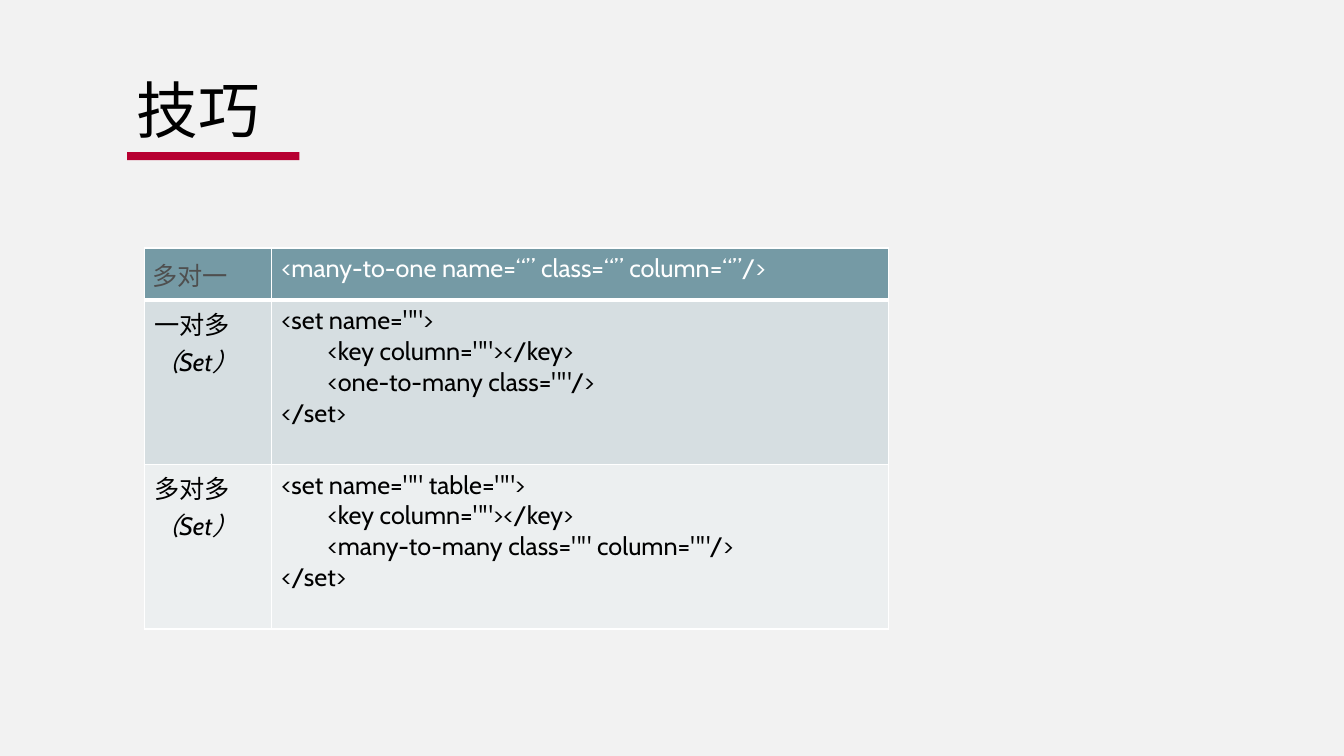
from dataclasses import dataclass
from lxml import etree
from pptx import Presentation
from pptx import util as u
from pptx.dml import color
from pptx.enum import shapes, text
from pptx.oxml import ns

HUES = {
    "page": "F2F2F2", "bar": "B70031", "head": "759AA5", "odd": "D6DEE1",
    "even": "ECEFF0", "ink": "000000", "grey": "4F4F4F", "white": "FFFFFF",
}
LATIN, HAN = "Cabin", "Noto Sans CJK SC"
WIDE, HIGH = u.Inches(13.33), u.Inches(7.5)
COLS = (1.26, 6.12)
INDENT = u.Inches(0.46)


@dataclass
class Run:
    words: str
    hue: str = "ink"
    size: float = 18
    slant: bool = False
    font: str = LATIN


@dataclass
class Line:
    runs: list[Run]
    deep: bool = False


@dataclass
class Row:
    high: float
    fill: str
    label: list[Run]
    code: list[Line]
    pad: float | None = None
    base: float = 1


def rgb(name: str) -> color.RGBColor:
    return color.RGBColor.from_string(HUES[name])


def paint(item, name: str) -> None:
    item.fill.solid()
    item.fill.fore_color.rgb = rgb(name)


def write(frame, lines: list[Line]) -> None:
    for i, line in enumerate(lines):
        para = frame.paragraphs[0] if i == 0 else frame.add_paragraph()
        para.alignment = text.PP_ALIGN.LEFT
        if line.deep:
            props = para._p.get_or_add_pPr()
            props.set("marL", str(INDENT))
            props.set("indent", "0")
        for part in line.runs:
            run = para.add_run()
            run.text = part.words
            font = run.font
            font.name, font.size = part.font, u.Pt(part.size)
            font.bold, font.italic = False, part.slant
            font.color.rgb = rgb(part.hue)
            east = etree.SubElement(run._r.get_or_add_rPr(), ns.qn("a:ea"))
            east.set("typeface", HAN)


def edge(cell, base: float) -> None:
    props = cell._tc.get_or_add_tcPr()
    for i, side in enumerate("LRTB"):
        line = etree.Element(ns.qn(f"a:ln{side}"))
        line.set("w", str(u.Pt(base if side == "B" else 1)))
        fill = etree.SubElement(line, ns.qn("a:solidFill"))
        etree.SubElement(fill, ns.qn("a:srgbClr")).set("val", HUES["white"])
        props.insert(i, line)


def code(words: str, hue: str = "ink", deep: bool = False) -> Line:
    return Line([Run(words, hue)], deep)


def group(start: str, key: str) -> list[Line]:
    return [
        code(start),
        code('<key column=""></key>', deep=True),
        code(key, deep=True),
        code("</set>"),
    ]


def label(words: str) -> list[Run]:
    return [Run(words, font=HAN), Run("（Set）", slant=True)]


def grid(slide, rows: list[Row]) -> None:
    tall = sum(row.high for row in rows)
    table = slide.shapes.add_table(
        len(rows), len(COLS), u.Inches(1.43), u.Inches(2.46),
        u.Inches(sum(COLS)), u.Inches(tall)).table
    table.first_row = table.horz_banding = False
    for col, wide in zip(table.columns, COLS):
        col.width = u.Inches(wide)
    for r, row in enumerate(rows):
        table.rows[r].height = u.Inches(row.high)
        for c, lines in enumerate(([Line(row.label)], row.code)):
            cell = table.cell(r, c)
            if c == 0 and row.pad:
                pad = u.Inches(row.pad)
                cell.margin_left = cell.margin_right = pad
                cell.margin_top = cell.margin_bottom = pad
            write(cell.text_frame, lines)
            paint(cell, row.fill)
            edge(cell, row.base)


def title(slide, words: str) -> None:
    box = slide.shapes.add_textbox(
        u.Inches(1.26), u.Inches(0.4), u.Inches(11.15), u.Inches(1.45))
    frame = box.text_frame
    frame.word_wrap = True
    frame.vertical_anchor = text.MSO_ANCHOR.MIDDLE
    write(frame, [Line([Run(words, size=44, font=HAN)])])
    frame.paragraphs[0].line_spacing = 0.9


def rule(slide) -> None:
    bar = slide.shapes.add_shape(
        shapes.MSO_SHAPE.RECTANGLE,
        u.Inches(1.26), u.Inches(1.51), u.Inches(1.71), u.Inches(0.08))
    paint(bar, "bar")
    bar.line.fill.background()
    bar.shadow.inherit = False


ROWS = [
    Row(0.52, "head", [Run("多对一", "grey", font=HAN)],
        [code("<many-to-one name=“” class=“” column=“”/>", "white")], 0.08, 3),
    Row(1.63, "odd", label("一对多"),
        group('<set name="">', '<one-to-many class=""/>')),
    Row(1.63, "even", label("多对多"),
        group('<set name="" table="">', '<many-to-many class="" column=""/>')),
]

deck = Presentation()
deck.slide_width, deck.slide_height = WIDE, HIGH
page = deck.slides.add_slide(deck.slide_layouts[6])
paint(page.background, "page")
rule(page)
title(page, "技巧")
grid(page, ROWS)
deck.save("out.pptx")
